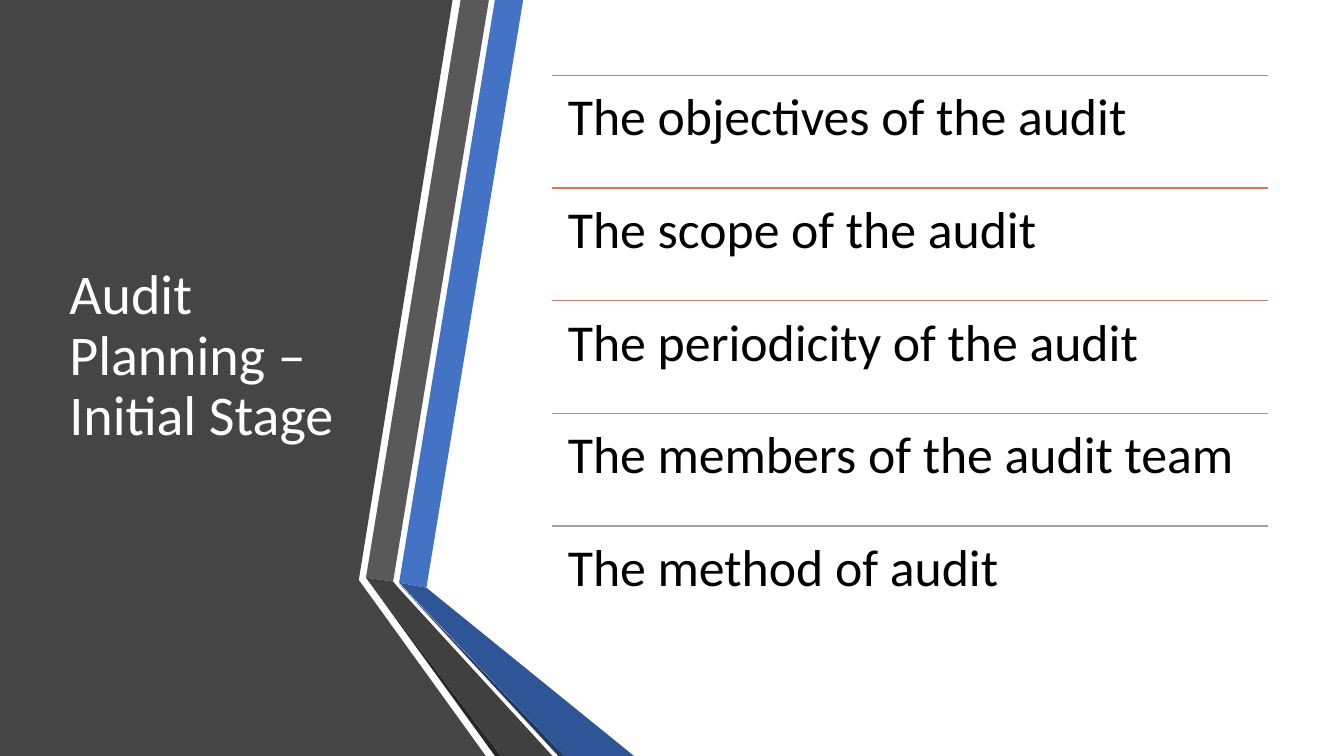
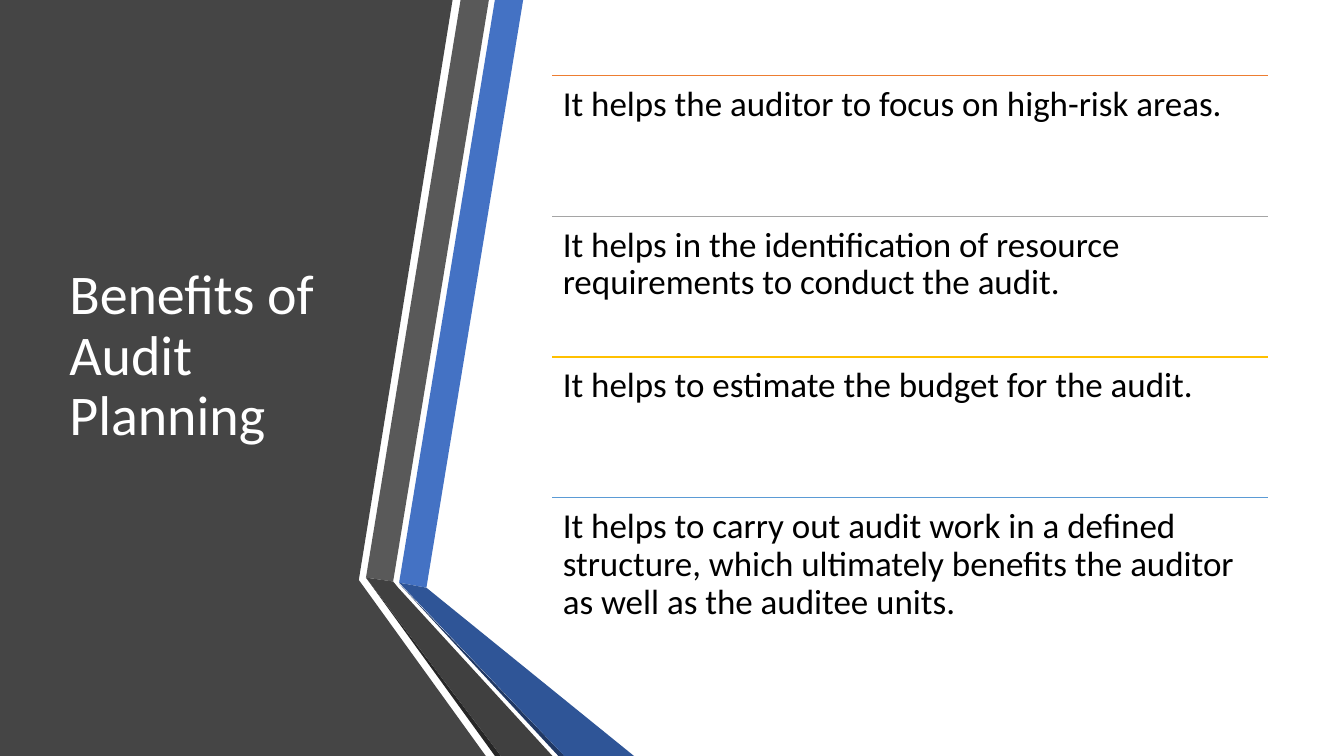
from dataclasses import dataclass

from lxml.etree import SubElement
from pptx import Presentation
from pptx.dml.color import RGBColor
from pptx.enum.shapes import MSO_CONNECTOR
from pptx.enum.text import MSO_ANCHOR
from pptx.oxml.ns import qn
from pptx.util import Pt

# Content
SLIDES = [
    {
        "title": "Audit Planning – Initial Stage",
        "size": 37,
        "inset": 11.1,
        "rows": [
            ("The objectives of the audit", "ED7D31"),
            ("The scope of the audit", "D87A51"),
            ("The periodicity of the audit", "C48170"),
            ("The members of the audit team", "B4908B"),
            ("The method of audit", "A5A5A5"),
        ],
    },
    {
        "title": "Benefits of Audit Planning",
        "size": 25,
        "inset": 7.5,
        "rows": [
            ("It helps the auditor to focus on high-risk areas.", "ED7D31"),
            ("It helps in the identification of resource requirements "
             "to conduct the audit.", "A5A5A5"),
            ("It helps to estimate the budget for the audit.", "FFC000"),
            ("It helps to carry out audit work in a defined structure, which "
             "ultimately benefits the auditor as well as the auditee units.",
             "5B9BD5"),
        ],
    },
]


# Theme
@dataclass(frozen=True)
class Theme:
    font: str = "Calibri"
    title_size: int = 40
    title_color: str = "FFFFFF"
    body_color: str = "000000"
    panel: str = "454545"
    blue: str = "4472C4"
    blue_fold: str = "2F5597"
    blue_edge: str = "203864"
    grey: str = "595959"
    grey_fold: str = "404040"
    grey_edge: str = "262626"
    rule_width: int = 1
    line_spacing: float = 0.9


THEME = Theme()

# Layout, in points
WIDTH, HEIGHT = 960, 540
TITLE_AREA = (42.5, 54, 219, 402)
LIST_LEFT, LIST_TOP, LIST_WIDTH, LIST_HEIGHT = 394.5, 54, 511, 402
TITLE_INSETS = (7.2, 3.6, 7.2, 3.6)

# Dark panel, then the two folded ribbons beside it
PANEL = [(0, 0), (323.3, 0), (256.3, 414.3), (347, HEIGHT), (0, HEIGHT)]
RIBBONS = [
    (THEME.blue, [(285.1, 416.2), (304.6, 419.8), (373.7, 0), (353.5, 0)]),
    (THEME.grey, [(349.2, 0), (329, 0), (261.4, 412.6), (280.8, 415.4)]),
    (THEME.grey_edge, [(261.4, 412.6), (353.5, HEIGHT), (357.8, HEIGHT)]),
    (THEME.blue_edge, [(285.1, 416.9), (398.9, HEIGHT), (403.2, HEIGHT)]),
    (THEME.blue_fold, [(285.1, 416.2), (403.2, HEIGHT), (452.9, HEIGHT),
                       (304.6, 419.8)]),
    (THEME.grey_fold, [(394.6, HEIGHT), (284.4, 419.8), (280.8, 415.4),
                       (261.4, 412.6), (357.8, HEIGHT)]),
]


def apply_format(target, values):
    for name, value in values.items():
        setattr(target, name, value)


def add_polygon(shapes, points, color):
    corners = [(Pt(x), Pt(y)) for x, y in points]
    builder = shapes.build_freeform(*corners[0])
    builder.add_line_segments(corners[1:], close=True)
    polygon = builder.convert_to_shape()
    polygon.shadow.inherit = False
    polygon.fill.solid()
    polygon.fill.fore_color.rgb = RGBColor.from_string(color)
    polygon.line.fill.background()


def add_text(shapes, area, text, size, color, insets, anchor):
    box = shapes.add_textbox(*map(Pt, area))
    left, top, right, bottom = map(Pt, insets)
    apply_format(box.text_frame, {
        "word_wrap": True,
        "vertical_anchor": anchor,
        "margin_left": left,
        "margin_top": top,
        "margin_right": right,
        "margin_bottom": bottom,
    })
    para = box.text_frame.paragraphs[0]
    para.line_spacing = THEME.line_spacing
    span = para.add_run()
    span.text = text
    apply_format(span.font, {"name": THEME.font, "size": Pt(size)})
    span.font.color.rgb = RGBColor.from_string(color)


def add_rule(shapes, top, color):
    rule = shapes.add_connector(
        MSO_CONNECTOR.STRAIGHT,
        Pt(LIST_LEFT), Pt(top), Pt(LIST_LEFT + LIST_WIDTH), Pt(top))
    rule.line.width = Pt(THEME.rule_width)
    rule.line.color.rgb = RGBColor.from_string(color)
    SubElement(rule.element.spPr, qn("a:effectLst"))


def add_frame(page, title):
    """Panel, ribbons and title shared by every slide."""
    add_polygon(page.shapes, PANEL, THEME.panel)
    ribbons = page.shapes.add_group_shape()
    for color, points in RIBBONS:
        add_polygon(ribbons.shapes, points, color)
    add_text(page.shapes, TITLE_AREA, title, THEME.title_size,
             THEME.title_color, TITLE_INSETS, MSO_ANCHOR.MIDDLE)


def add_ruled_list(page, rows, size, inset):
    """Equal rows, each under its own coloured rule."""
    group = page.shapes.add_group_shape()
    row_height = LIST_HEIGHT / len(rows)
    for index, (text, color) in enumerate(rows):
        top = LIST_TOP + index * row_height
        add_rule(group.shapes, top, color)
        add_text(group.shapes, (LIST_LEFT, top, LIST_WIDTH, row_height), text,
                 size, THEME.body_color, (inset,) * 4, MSO_ANCHOR.TOP)


def main():
    deck = Presentation()
    deck.slide_width, deck.slide_height = Pt(WIDTH), Pt(HEIGHT)
    blank = deck.slide_layouts[6]
    for content in SLIDES:
        page = deck.slides.add_slide(blank)
        add_frame(page, content["title"])
        add_ruled_list(page, content["rows"], content["size"],
                       content["inset"])
    deck.save("out.pptx")


if __name__ == "__main__":
    main()
